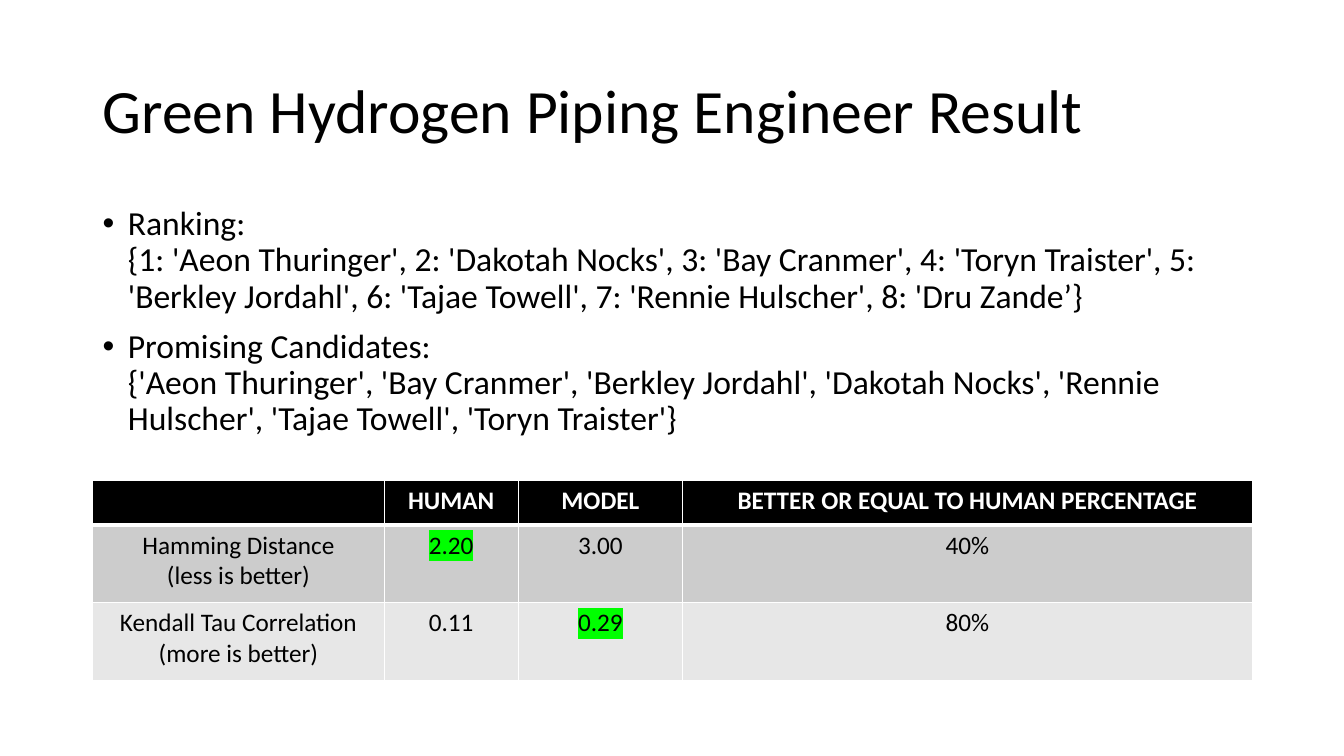
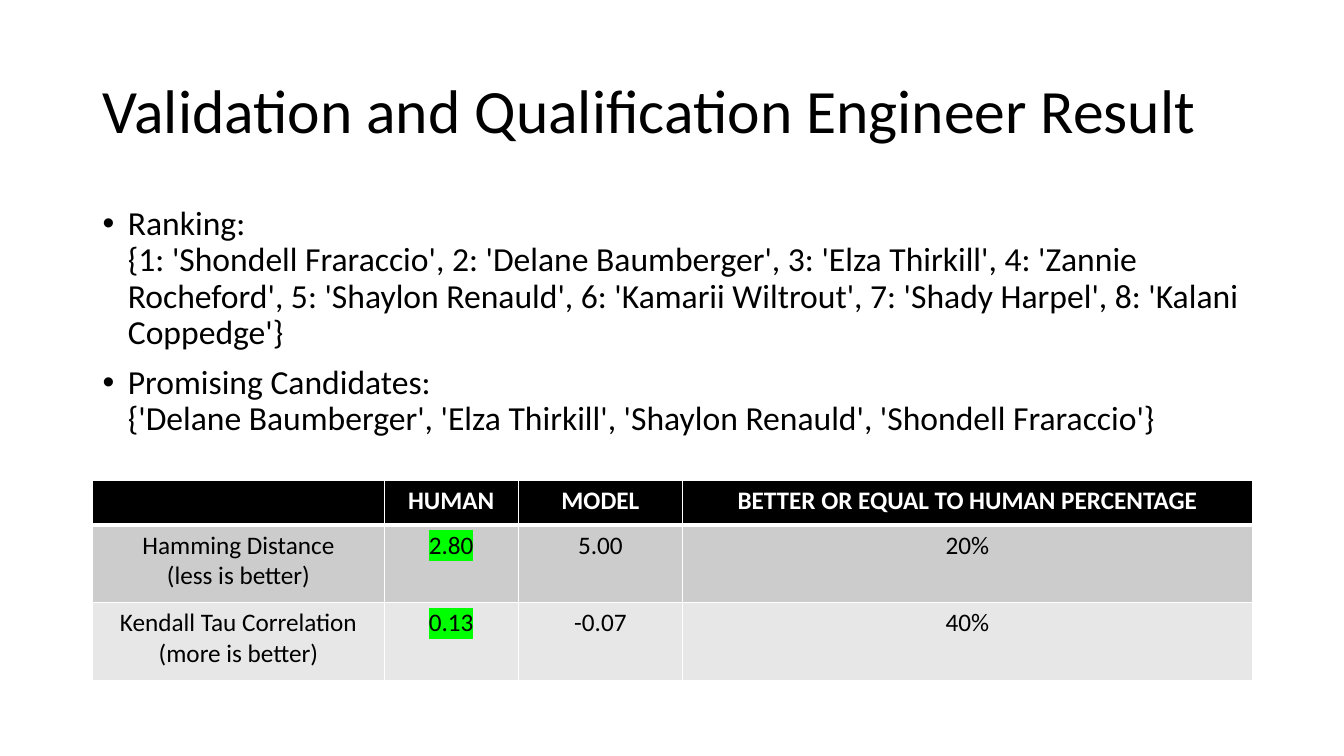
from pptx import Presentation
from pptx.dml.color import RGBColor
from pptx.enum.text import MSO_ANCHOR, MSO_AUTO_SIZE, PP_ALIGN
from pptx.oxml.ns import qn
from pptx.util import Inches, Pt
from lxml import etree

LEFT, CENTER = PP_ALIGN.LEFT, PP_ALIGN.CENTER
TOP, MIDDLE = MSO_ANCHOR.TOP, MSO_ANCHOR.MIDDLE
NO_FIT = MSO_AUTO_SIZE.NONE

FONT = "Calibri"
BLACK, WHITE, GREEN = "000000", "FFFFFF", "00FF00"
ROW_FILLS = [BLACK, "CCCCCC", "E7E7E7"]
TITLE_AREA = (0.92, 0.4, 11.5, 1.45)
BODY_AREA = (0.92, 2, 11.5, 2.6)
TABLE_AREA = (0.92, 4.77, 11.5, 1.98)
COLUMN_WIDTHS = [2.89, 1.33, 1.63, 5.65]
ROW_HEIGHTS = [0.44, 0.77, 0.77]
BULLET_INDENT = 0.25

HEADER = ["", "HUMAN", "MODEL", "BETTER OR EQUAL TO HUMAN PERCENTAGE"]
METRICS = [
    ("Hamming Distance\n(less is better)", min),
    ("Kendall Tau Correlation\n(more is better)", max),
]
RESULTS = [
    {
        "title": "Green Hydrogen Piping Engineer Result",
        "points": [
            "Ranking:\n{1: 'Aeon Thuringer', 2: 'Dakotah Nocks', 3: 'Bay Cranmer', "
            "4: 'Toryn Traister', 5: 'Berkley Jordahl', 6: 'Tajae Towell', "
            "7: 'Rennie Hulscher', 8: 'Dru Zande’}",
            "Promising Candidates:\n{'Aeon Thuringer', 'Bay Cranmer', "
            "'Berkley Jordahl', 'Dakotah Nocks', 'Rennie Hulscher', "
            "'Tajae Towell', 'Toryn Traister'}",
        ],
        "scores": [(2.20, 3.00, 40), (0.11, 0.29, 80)],
    },
    {
        "title": "Validation and Qualification Engineer Result",
        "points": [
            "Ranking:\n{1: 'Shondell Fraraccio', 2: 'Delane Baumberger', "
            "3: 'Elza Thirkill', 4: 'Zannie Rocheford', 5: 'Shaylon Renauld', "
            "6: 'Kamarii Wiltrout', 7: 'Shady Harpel', 8: 'Kalani Coppedge'}",
            "Promising Candidates:\n{'Delane Baumberger', 'Elza Thirkill', "
            "'Shaylon Renauld', 'Shondell Fraraccio'}",
        ],
        "scores": [(2.80, 5.00, 20), (0.13, -0.07, 40)],
    },
]


def color(value):
    return RGBColor.from_string(value)


def inches(area):
    return [Inches(length) for length in area]


def apply(target, values):
    for name, value in values.items():
        setattr(target, name, value)


def write(para, text, size, ink=BLACK, bold=False, **layout):
    para.text = text
    apply(para, layout)
    for span in para.runs:
        apply(span.font, {"name": FONT, "size": Pt(size), "bold": bold})
        span.font.color.rgb = color(ink)


def add_solid(parent, tag, value):
    element = etree.SubElement(parent, qn(tag))
    etree.SubElement(element, qn("a:srgbClr"), val=value)
    return element


def highlight(span):
    props = span.font._element
    mark = add_solid(props, "a:highlight", GREEN)
    props.find(qn("a:solidFill")).addnext(mark)


def add_bullet(para):
    props = para._p.get_or_add_pPr()
    indent = Inches(BULLET_INDENT)
    props.set("marL", str(indent))
    props.set("indent", str(-indent))
    etree.SubElement(props, qn("a:buFont"), typeface="Arial")
    etree.SubElement(props, qn("a:buChar"), char="•")


def add_borders(cell, row):
    widths = {"L": 1, "R": 1, "T": 3 if row == 1 else 1, "B": 3 if row == 0 else 1}
    props = cell._tc.get_or_add_tcPr()
    for side, width in widths.items():
        line = etree.SubElement(props, qn("a:ln" + side), w=str(Pt(width)))
        add_solid(line, "a:solidFill", WHITE)


def add_title(page, text):
    title = page.shapes.title
    apply(title, dict(zip(("left", "top", "width", "height"), inches(TITLE_AREA))))
    frame = title.text_frame
    apply(frame, {"vertical_anchor": MIDDLE, "auto_size": NO_FIT, "word_wrap": True})
    write(frame.paragraphs[0], text, 44, alignment=LEFT, line_spacing=0.9)


def add_points(page, points):
    frame = page.shapes.add_textbox(*inches(BODY_AREA)).text_frame
    apply(frame, {"vertical_anchor": TOP, "auto_size": NO_FIT, "word_wrap": True})
    for index, text in enumerate(points):
        para = frame.add_paragraph() if index else frame.paragraphs[0]
        write(para, text, 24, alignment=LEFT, line_spacing=0.9, space_before=Pt(10))
        add_bullet(para)


def add_scores(page, scores):
    rows = [HEADER]
    winners = set()
    for row, ((label, best), (human, model, share)) in enumerate(zip(METRICS, scores), 1):
        rows.append([label, f"{human:.2f}", f"{model:.2f}", f"{share}%"])
        winners.add((row, 1 if best(human, model) == human else 2))

    table = page.shapes.add_table(len(rows), len(HEADER), *inches(TABLE_AREA)).table
    for column, width in zip(table.columns, COLUMN_WIDTHS):
        column.width = Inches(width)
    for row, texts in enumerate(rows):
        table.rows[row].height = Inches(ROW_HEIGHTS[row])
        for column, text in enumerate(texts):
            cell = table.cell(row, column)
            add_borders(cell, row)
            cell.fill.solid()
            cell.fill.fore_color.rgb = color(ROW_FILLS[row])
            para = cell.text_frame.paragraphs[0]
            ink = BLACK if row else WHITE
            write(para, text, 18, ink, bold=row == 0, alignment=CENTER)
            if (row, column) in winners:
                highlight(para.runs[0])


def main():
    deck = Presentation()
    apply(deck, {"slide_width": Inches(13.33), "slide_height": Inches(7.5)})
    title_only = deck.slide_layouts[5]
    for result in RESULTS:
        page = deck.slides.add_slide(title_only)
        add_title(page, result["title"])
        add_points(page, result["points"])
        add_scores(page, result["scores"])
    deck.save("out.pptx")


if __name__ == "__main__":
    main()
